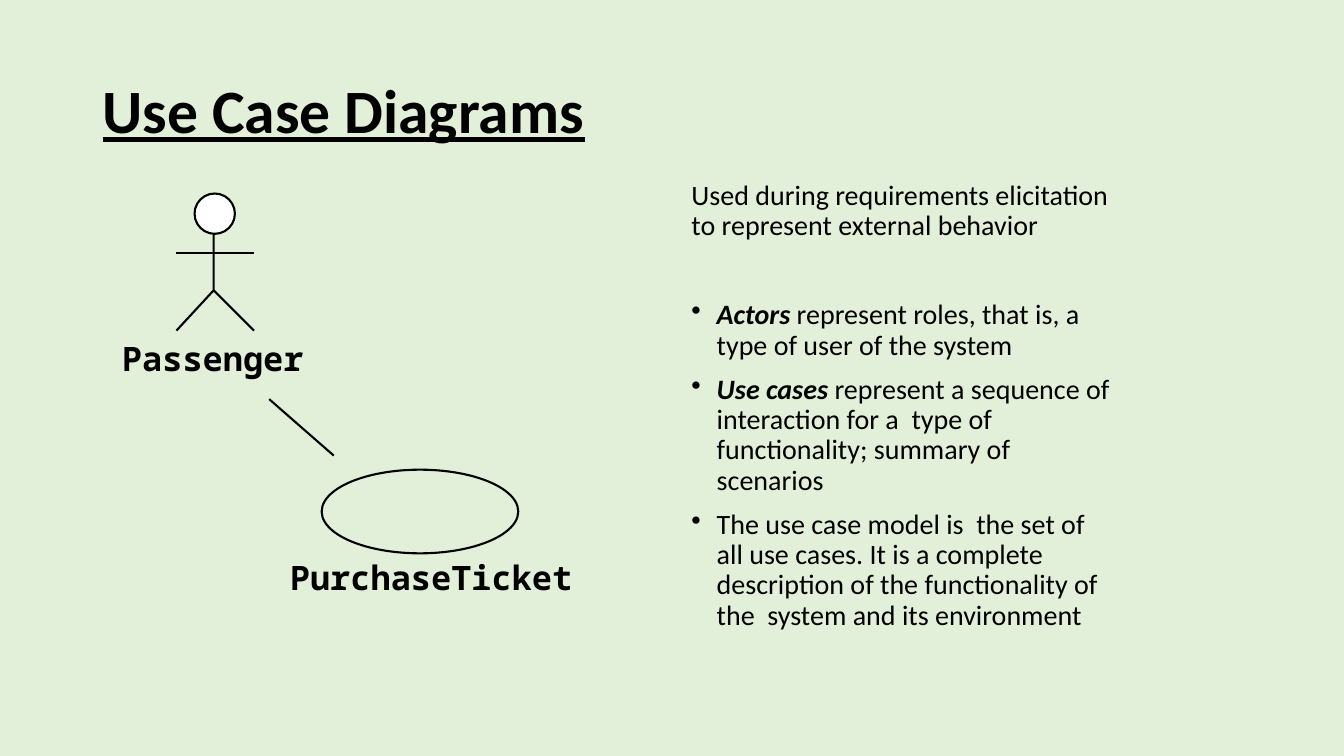
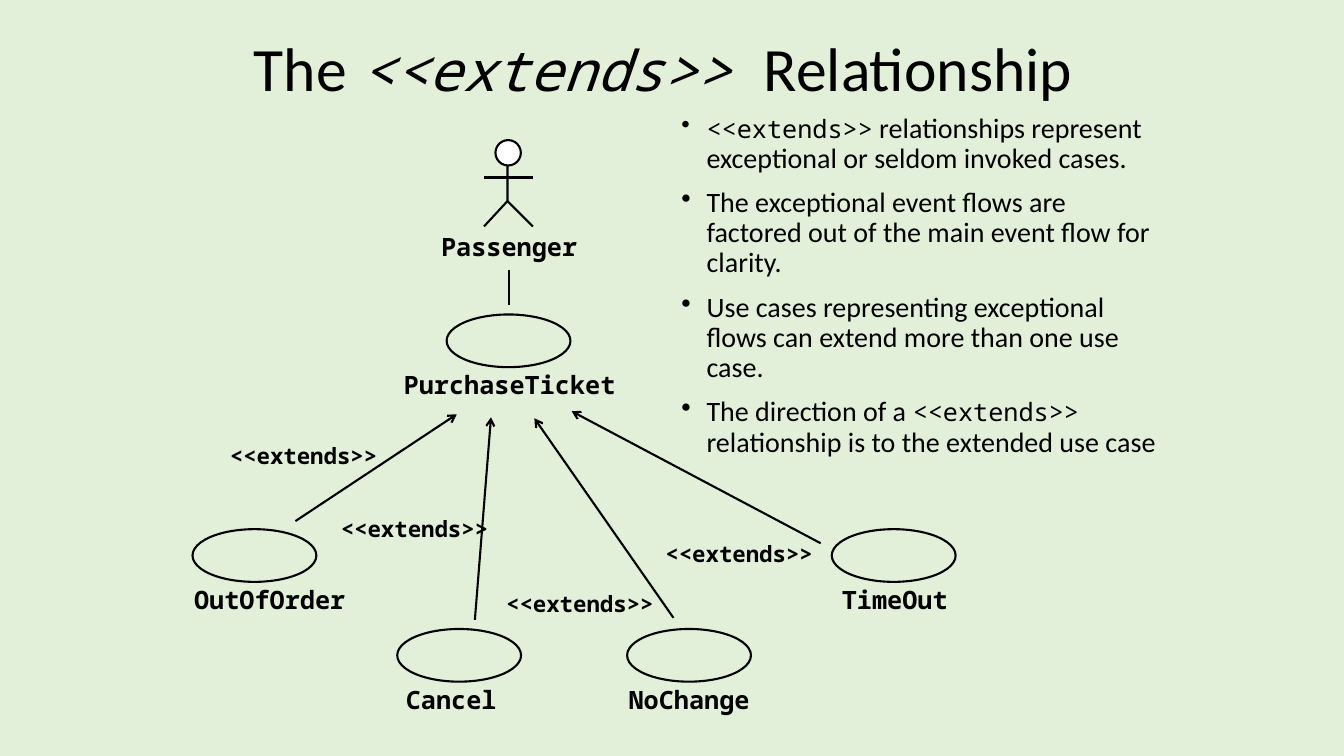
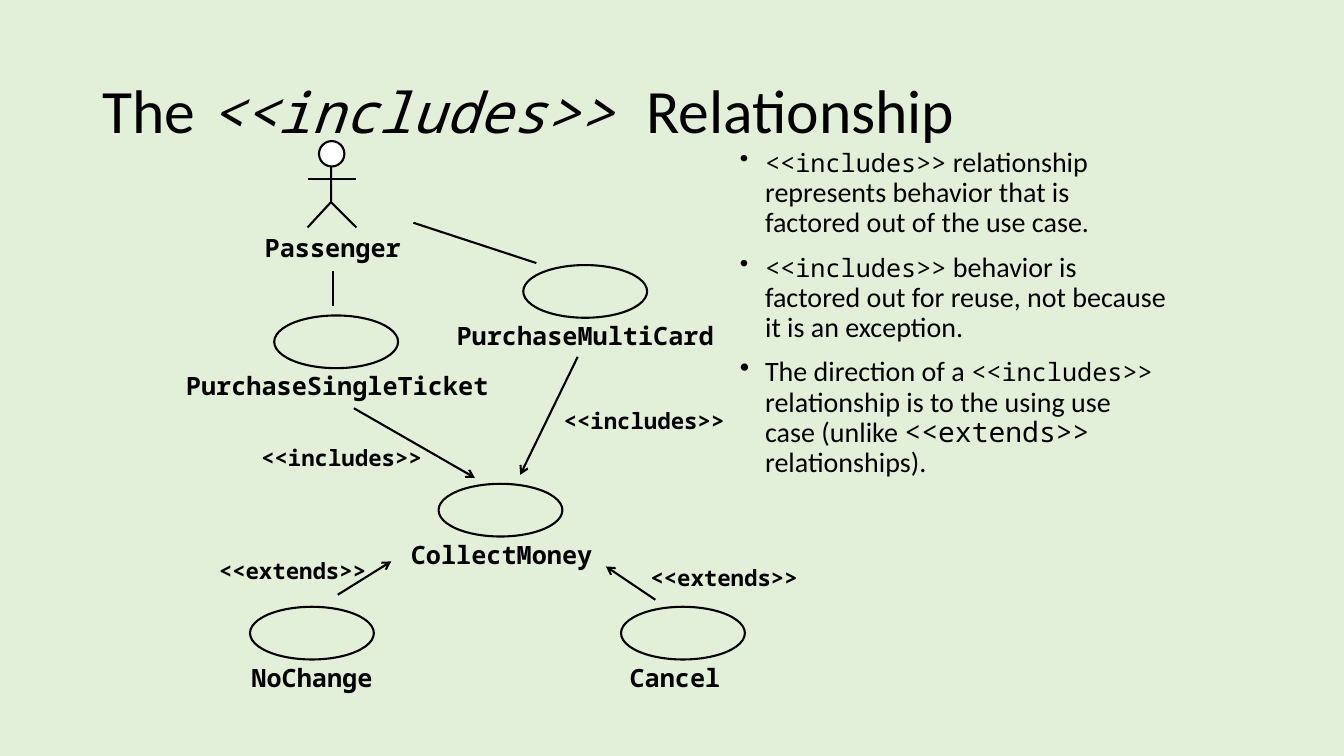
from dataclasses import dataclass

from lxml import etree
from pptx import Presentation
from pptx.dml.color import RGBColor
from pptx.enum import shapes, text
from pptx.oxml import ns
from pptx.util import Inches, Pt

BACKDROP = RGBColor(0xE2, 0xF0, 0xD9)
INK = RGBColor(0, 0, 0)
HEAD_FILL = RGBColor(0xFF, 0xFF, 0xFF)
SANS, MONO = "Calibri", "Noto Sans Mono"
LINE_WIDTH = Pt(1.5)
SMALL = 0.63
NAME_SIZES = {1: 24, SMALL: 18}
TITLE_AT = (0.92, 0.4, 11.5, 1.45)


@dataclass
class Words:
    text: str
    size: float = 20
    font: str = SANS
    bold: bool = False
    italic: bool = False
    underline: bool = False


def code(wording, size=18):
    return Words(wording, size, MONO)


def term(wording):
    return Words(wording, bold=True, italic=True)


def relationship_title(stereotype):
    return [Words("The ", 44), Words(stereotype + " ", 40, MONO, italic=True),
            Words("Relationship", 44)]


def add_words(paragraph, pieces):
    for piece in pieces:
        run = paragraph.add_run()
        run.text = piece.text
        font = run.font
        font.name, font.size = piece.font, Pt(piece.size)
        font.bold, font.italic, font.underline = piece.bold, piece.italic, piece.underline
        font.color.rgb = INK


def add_frame(slide, left, top, width, height):
    frame = slide.shapes.add_textbox(*map(Inches, (left, top, width, height))).text_frame
    frame.word_wrap = True
    return frame


def add_title(slide, pieces, at=TITLE_AT):
    frame = add_frame(slide, *at)
    frame.vertical_anchor = text.MSO_ANCHOR.MIDDLE
    heading = frame.paragraphs[0]
    heading.line_spacing = 0.9
    add_words(heading, pieces)


def add_bullet(paragraph):
    properties = paragraph._p.get_or_add_pPr()
    properties.set("marL", str(Inches(0.25)))
    properties.set("indent", str(-Inches(0.25)))
    etree.SubElement(properties, ns.qn("a:buChar")).set("char", "•")


def add_body(slide, at, points, intro=None):
    frame = add_frame(slide, *at)
    entries = ([intro] if intro else []) + points
    for index, pieces in enumerate(entries):
        paragraph = frame.add_paragraph() if index else frame.paragraphs[0]
        if pieces is not intro:
            add_bullet(paragraph)
        paragraph.line_spacing = 0.9
        if index:
            paragraph.space_before = Pt(42 if intro and index == 1 else 10)
        add_words(paragraph, pieces)


def add_label(slide, left, top, wording, size):
    frame = add_frame(slide, left, top, len(wording) * size / 120, size / 60)
    frame.word_wrap = False
    frame.margin_left = frame.margin_right = frame.margin_top = frame.margin_bottom = 0
    add_words(frame.paragraphs[0], [Words(wording, size, MONO, bold=True)])


def add_centred_label(slide, centre, top, wording, size):
    add_label(slide, centre - len(wording) * size / 240, top, wording, size)


def add_ellipse(slide, left, top, width, height, fill=None):
    ellipse = slide.shapes.add_shape(
        shapes.MSO_SHAPE.OVAL, *map(Inches, (left, top, width, height)))
    ellipse.shadow.inherit = False
    if fill is None:
        ellipse.fill.background()
    else:
        ellipse.fill.solid()
        ellipse.fill.fore_color.rgb = fill
    ellipse.line.color.rgb = INK
    ellipse.line.width = LINE_WIDTH


def add_line(slide, start, end, arrow=False):
    line = slide.shapes.add_connector(
        shapes.MSO_CONNECTOR.STRAIGHT, *map(Inches, start + end))
    line.line.color.rgb = INK
    line.line.width = LINE_WIDTH
    if arrow:
        etree.SubElement(line.line._get_or_add_ln(), ns.qn("a:tailEnd")).set("type", "arrow")
    etree.SubElement(line._element.spPr, ns.qn("a:effectLst"))


def add_actor(slide, centre, top, name, scale=SMALL, name_shift=0.01):
    def point(dx, dy):
        return centre + dx * scale, top + dy * scale

    neck, hip = point(-0.01, 0.28), point(-0.01, 0.96)
    left_foot, right_foot = point(-0.38, 1.36), point(0.39, 1.36)
    builder = slide.shapes.build_freeform(*map(Inches, neck), scale=1.0)
    builder.add_line_segments(
        [tuple(map(Inches, spot)) for spot in (hip, left_foot)], close=False)
    spine = builder.convert_to_shape()
    spine.shadow.inherit = False
    spine.fill.background()
    spine.line.color.rgb = INK
    spine.line.width = LINE_WIDTH
    add_line(slide, hip, right_foot)
    add_line(slide, point(-0.38, 0.59), point(0.39, 0.59))
    add_ellipse(slide, *point(-0.2, 0), 0.4 * scale, 0.4 * scale, HEAD_FILL)
    add_centred_label(slide, centre + name_shift, top + 1.43 * scale, name, NAME_SIZES[scale])


def add_use_case(slide, left, top, name, scale=SMALL, name_shift=0.01):
    width = 1.95 * scale
    add_ellipse(slide, left, top, width, 0.83 * scale)
    add_centred_label(slide, left + width / 2 + name_shift, top + 0.87 * scale,
                      name, NAME_SIZES[scale])


def add_relationship(slide, start, end, stereotype, label_at):
    add_line(slide, start, end, arrow=True)
    add_label(slide, *label_at, stereotype, 16)


def build_use_case_diagrams(slide):
    add_title(slide, [Words("Use Case Diagrams", 44, bold=True, underline=True)])
    add_body(slide, (6.76, 1.75, 4.41, 4.92), [
        [term("Actors"), Words(" represent roles, that is, a type of user of the system")],
        [term("Use cases"), Words(" represent a sequence of interaction for a  type of "
                                  "functionality; summary of scenarios")],
        [Words("The use case model is  the set of all use cases. It is a complete description "
               "of the functionality of the  system and its environment")],
    ], intro=[Words("Used during requirements elicitation to represent external behavior")])
    add_actor(slide, 2.13, 1.92, "Passenger", scale=1, name_shift=-0.02)
    add_use_case(slide, 3.19, 4.66, "PurchaseTicket", scale=1, name_shift=0.11)
    add_line(slide, (2.67, 3.96), (3.31, 4.52))


def build_extends(slide):
    extends = "<<extends>>"
    add_title(slide, relationship_title(extends), (2.42, 0.08, 8.5, 1.25))
    add_body(slide, (6.66, 1.08, 4.93, 5.25), [
        [code(extends), Words(" relationships represent exceptional or seldom invoked cases.")],
        [Words("The exceptional event flows are factored out of the main event flow "
               "for clarity.")],
        [Words("Use cases representing exceptional flows can extend more than one use case.")],
        [Words("The direction of a "), code(extends),
         Words(" relationship is to the extended use case")],
    ])
    add_actor(slide, 5.04, 1.39, "Passenger")
    add_use_case(slide, 4.43, 3.12, "PurchaseTicket")
    add_line(slide, (5.05, 2.68), (5.05, 3.03))
    for left, top, name, shift, start, end, label_at in (
        (8.25, 5.25, "TimeOut", 0.01, (8.14, 5.39), (5.67, 4.08), (6.6, 5.36)),
        (6.22, 6.24, "NoChange", 0, (6.68, 6.13), (5.3, 4.15), (5.02, 5.85)),
        (1.91, 5.25, "OutOfOrder", 0.15, (2.93, 5.17), (4.53, 4.11), (2.28, 4.39)),
        (3.94, 6.24, "Cancel", -0.08, (4.71, 6.15), (4.87, 4.14), (3.38, 5.11)),
    ):
        add_use_case(slide, left, top, name, name_shift=shift)
        add_relationship(slide, start, end, extends, label_at)


def build_includes(slide):
    includes, extends = "<<includes>>", "<<extends>>"
    add_title(slide, relationship_title(includes))
    add_body(slide, (7.24, 1.42, 4.43, 5.25), [
        [code(includes), Words(" relationship represents behavior that is factored out of "
                               "the use case.")],
        [code(includes), Words(" behavior is factored out for reuse, not because it is an "
                               "exception.")],
        [Words("The direction of a "), code(includes),
         Words(" relationship is to the using use case (unlike "), code(extends, 20),
         Words(" relationships).")],
    ])
    add_actor(slide, 3.29, 1.4, "Passenger")
    for left, top, name, shift in (
        (2.72, 3.13, "PurchaseSingleTicket", 0.01),
        (5.19, 2.63, "PurchaseMultiCard", 0),
        (4.35, 4.8, "CollectMoney", 0.01),
        (2.48, 6.02, "NoChange", 0),
        (6.16, 6.02, "Cancel", -0.08),
    ):
        add_use_case(slide, left, top, name, name_shift=shift)
    add_line(slide, (3.3, 2.69), (3.3, 3.04))
    add_line(slide, (4.1, 2.21), (5.32, 2.61))
    for start, end, stereotype, label_at in (
        ((3.35, 5.9), (3.88, 5.57), extends, (2.17, 5.53)),
        ((6.5, 5.95), (6.01, 5.62), extends, (6.45, 5.6)),
        ((5.73, 3.54), (5.16, 4.71), includes, (5.59, 4.04)),
        ((3.51, 4.05), (4.71, 4.74), includes, (2.59, 4.41)),
    ):
        add_relationship(slide, start, end, stereotype, label_at)


def main():
    deck = Presentation()
    deck.slide_width, deck.slide_height = Inches(13.33), Inches(7.5)
    backdrop = deck.slide_master.background.fill
    backdrop.solid()
    backdrop.fore_color.rgb = BACKDROP
    for build in (build_use_case_diagrams, build_extends, build_includes):
        build(deck.slides.add_slide(deck.slide_layouts[6]))
    deck.save("out.pptx")


if __name__ == "__main__":
    main()
